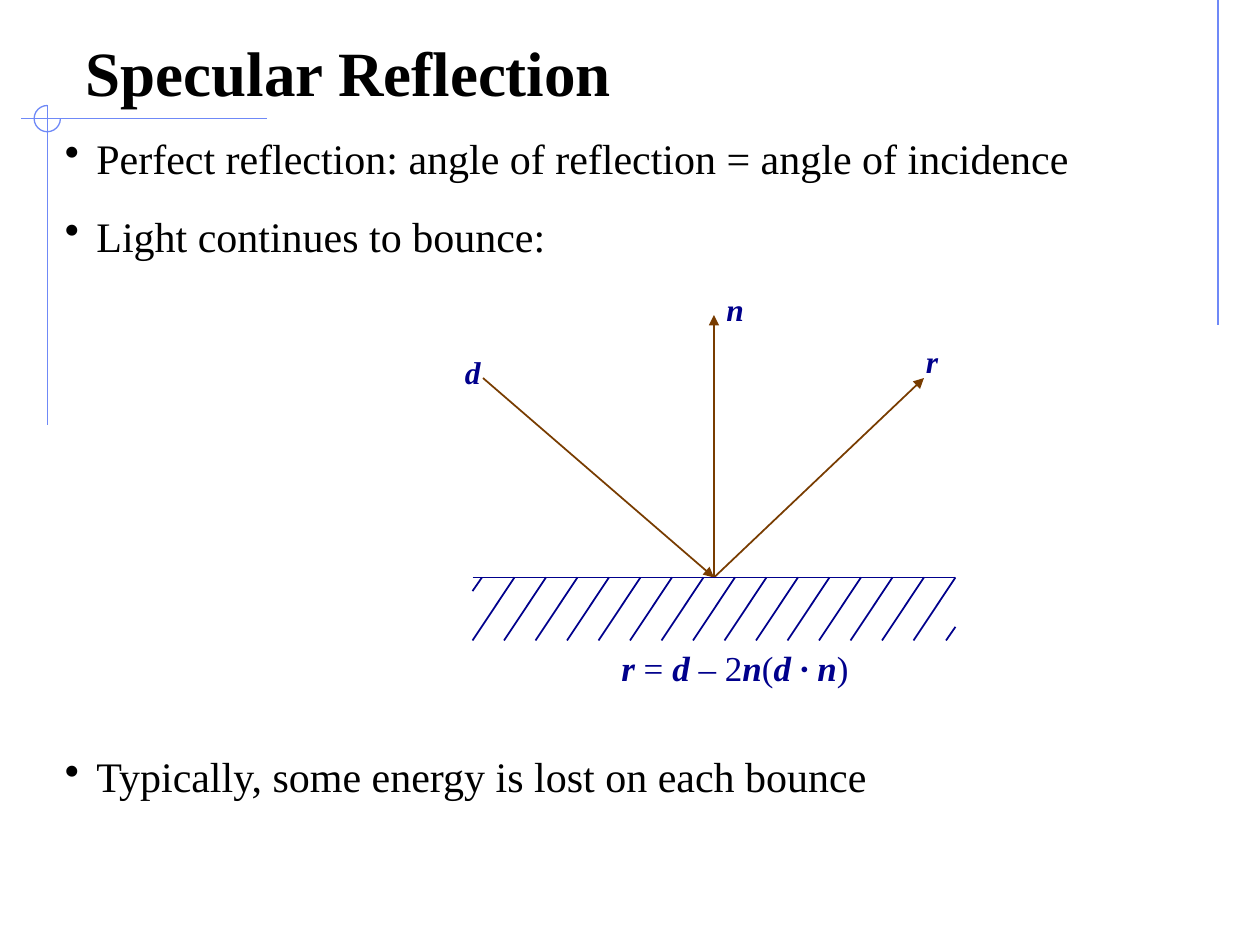
from dataclasses import dataclass

from lxml import etree
from pptx import Presentation
from pptx.dml.color import RGBColor
from pptx.enum.shapes import MSO_CONNECTOR, MSO_SHAPE
from pptx.enum.text import MSO_ANCHOR
from pptx.oxml.ns import qn
from pptx.util import Inches, Pt

LINE = MSO_CONNECTOR.STRAIGHT
ARC = MSO_SHAPE.ARC
TOP = MSO_ANCHOR.TOP
BOTTOM = MSO_ANCHOR.BOTTOM


@dataclass(frozen=True)
class Theme:
    """Colours, type sizes and line widths of the slide."""
    font: str = "Times New Roman"
    ink: str = "000000"
    navy: str = "00008C"
    brown: str = "783C00"
    trim: str = "6F89F7"
    title: int = 36
    body: int = 24
    math: int = 20
    label: int = 18
    thin: float = 0.75
    thick: float = 1


THEME = Theme()


def unit(count):
    """Turn grid units, 120 columns by 90 rows, into a length."""
    return Inches(count / 12)


def rgb(code):
    """Turn a hex code into a colour."""
    return RGBColor.from_string(code)


def add_line(shapes, start, end, color, width=THEME.thick, arrow=False):
    """Draw a straight line between two grid points."""
    line = shapes.add_connector(LINE, *map(unit, (*start, *end)))
    line.line.color.rgb = rgb(color)
    line.line.width = Pt(width)
    if arrow:
        etree.SubElement(line.line._get_or_add_ln(), qn("a:tailEnd"), type="triangle")
    etree.SubElement(line._element.spPr, qn("a:effectLst"))


def add_bullet(para):
    """Give a paragraph a round bullet with a hanging indent."""
    props = para._p.get_or_add_pPr()
    props.set("marL", str(Inches(0.25)))
    props.set("indent", str(Inches(-0.25)))
    etree.SubElement(props, qn("a:buChar"), char="•")


def add_text(shapes, box, lines, size, color=THEME.ink, bold=False,
             anchor=TOP, wrap=True, gaps=None):
    """Write lines in a grid box; starred parts are bold italic, gaps bring bullets."""
    frame = shapes.add_textbox(*map(unit, box)).text_frame
    frame.word_wrap = wrap
    frame.vertical_anchor = anchor
    for index, line in enumerate(lines):
        para = frame.paragraphs[0] if index == 0 else frame.add_paragraph()
        if gaps:
            add_bullet(para)
            para.space_before = Pt(gaps[index])
        for part, words in enumerate(line.split("*")):
            if words:
                run = para.add_run()
                run.text = words
                font = run.font
                font.name, font.size = THEME.font, Pt(size)
                font.color.rgb = rgb(color)
                font.bold = bold or part % 2 == 1
                font.italic = part % 2 == 1


def add_trim(shapes):
    """Draw the corner lines and the three-quarter circle."""
    for start, end in (((116, 0), (116, 31)),
                       ((25.4, 11.3), (2, 11.3)),
                       ((4.5, 10), (4.5, 40.5))):
        add_line(shapes, start, end, THEME.trim, THEME.thin)
    arc = shapes.add_shape(ARC, *map(unit, (3.25, 10.05, 2.5, 2.5)))
    arc.adjustments[0], arc.adjustments[1] = 0, 162
    arc.shadow.inherit = False
    arc.fill.background()
    arc.line.color.rgb = rgb(THEME.trim)
    arc.line.width = Pt(THEME.thin)


def add_rays(shapes):
    """Draw the incoming, reflected and normal rays with their labels."""
    hit = (68, 55)
    for start, end in (((46, 36), hit), (hit, (88, 36)), (hit, (68, 30))):
        add_line(shapes, start, end, THEME.brown, arrow=True)
    for name, left, top, width in (("n", 68, 27, 4.1), ("d", 43.1, 33, 3.8),
                                   ("r", 87, 32, 3.5)):
        add_text(shapes, (left, top, width, 4.8), [f"*{name}*"],
                 THEME.label, THEME.navy, wrap=False)


def add_ground(shapes):
    """Draw the hatched surface, with short strokes at both ends."""
    left, right, top, base = 45, 91, 55, 61
    parts = shapes.add_group_shape().shapes
    add_line(parts, (left, top), (right, top), THEME.navy)
    for col in range(left, right - 3, 3):
        add_line(parts, (col + 4, top), (col, base), THEME.navy)
    add_line(parts, (right, base - 1.3), (right - 0.9, base), THEME.navy)
    add_line(parts, (left + 0.9, top), (left, top + 1.3), THEME.navy)


def main():
    """Build and save the slide."""
    deck = Presentation()
    deck.slide_width, deck.slide_height = unit(120), unit(90)
    shapes = deck.slides.add_slide(deck.slide_layouts[6]).shapes
    add_trim(shapes)
    add_text(shapes, (7, 3, 106, 8), ["Specular Reflection"],
             THEME.title, bold=True, anchor=BOTTOM)
    add_text(shapes, (5, 12, 110, 73), [
        "Perfect reflection: angle of reflection = angle of incidence",
        "Light continues to bounce:",
        "Typically, some energy is lost on each bounce",
    ], THEME.body, gaps=(0, 16, 280))
    add_rays(shapes)
    add_ground(shapes)
    add_text(shapes, (58, 61, 24, 5.3), ["*r* = *d* – 2*n*(*d · n*)"],
             THEME.math, THEME.navy, wrap=False)
    deck.save("out.pptx")


if __name__ == "__main__":
    main()
